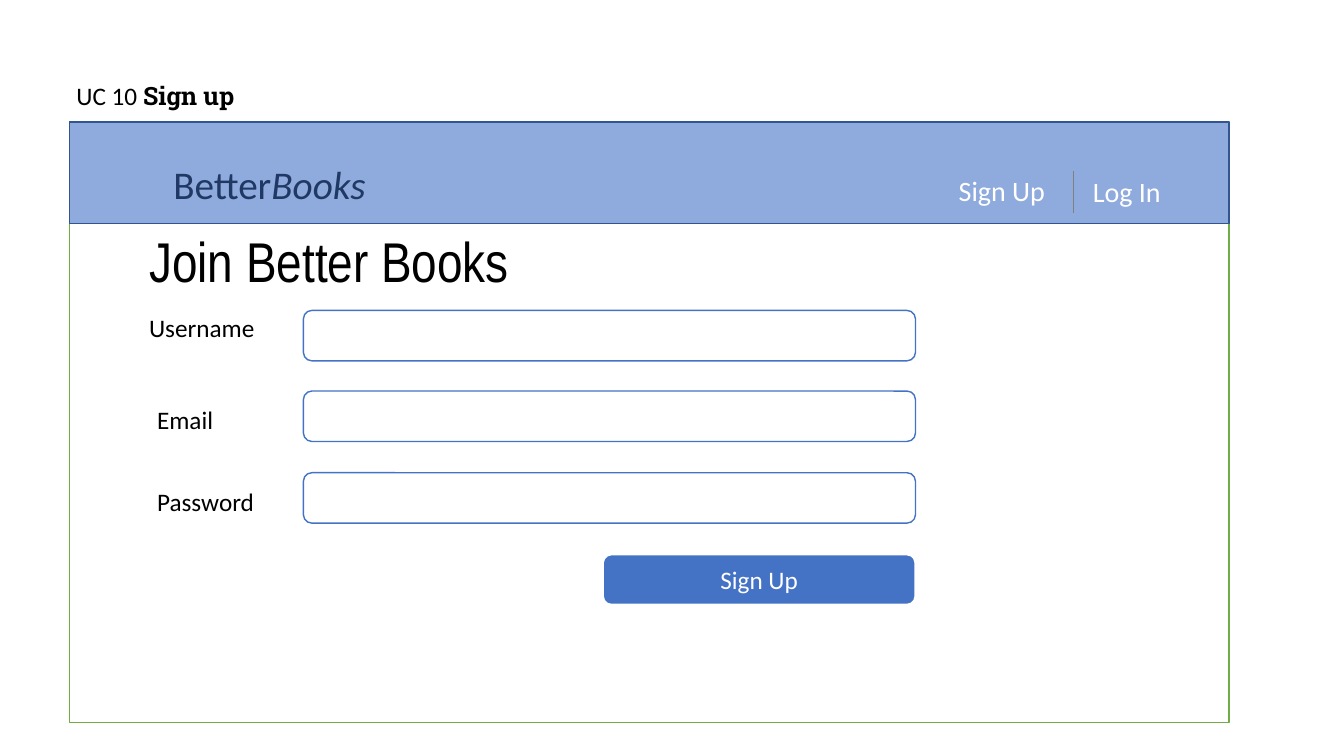
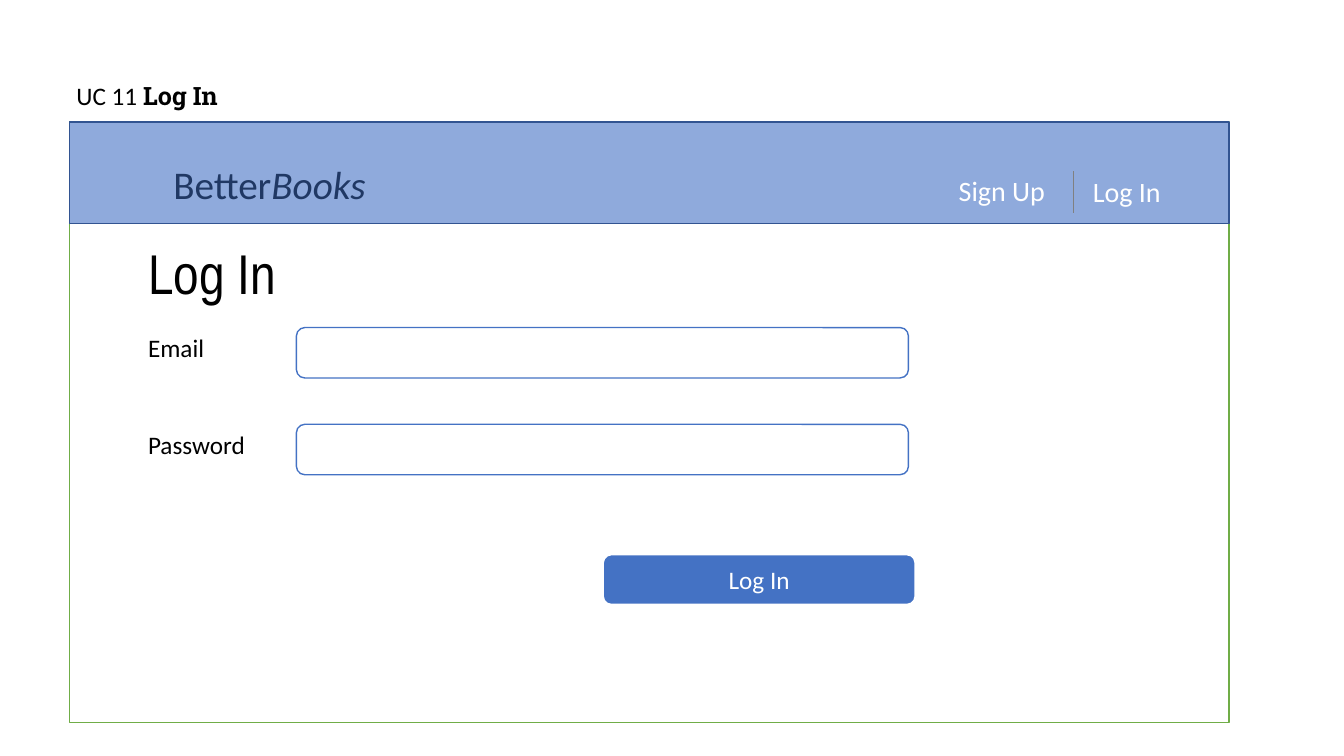
from lxml import etree
from pptx import Presentation
from pptx.dml.color import RGBColor
from pptx.enum.shapes import MSO_CONNECTOR, MSO_SHAPE
from pptx.enum.text import MSO_ANCHOR, MSO_AUTO_SIZE, PP_ALIGN
from pptx.oxml import parse_xml
from pptx.oxml.ns import qn
from pptx.util import Inches, Pt

RECTANGLE, ROUNDED = MSO_SHAPE.RECTANGLE, MSO_SHAPE.ROUNDED_RECTANGLE
STRAIGHT = MSO_CONNECTOR.STRAIGHT
TOP, MIDDLE = MSO_ANCHOR.TOP, MSO_ANCHOR.MIDDLE
LEFT, CENTER = PP_ALIGN.LEFT, PP_ALIGN.CENTER
NO_AUTOFIT = MSO_AUTO_SIZE.NONE
TITLE_ONLY = 5

WHITE, BLACK, NAVY, GREY = "FFFFFF", "000000", "203864", "808080"
BAND, BAND_EDGE, FRAME_EDGE, ACCENT = "8FAADC", "325491", "70AD47", "4472C4"
BODY_FONT, HEADING_FONT, USE_CASE_FONT = "Calibri", "Arial Narrow", "Roboto Slab"

FRAME_LEFT, FRAME_TOP, FRAME_WIDTH = 0.69, 1.21, 11.5
FIELD_WIDTH, FIELD_HEIGHT = 6.07, 0.5
TEXT_SHADOW = (
    '<a:effectLst xmlns:a="http://schemas.openxmlformats.org/drawingml/2006/main">'
    '<a:outerShdw blurRad="38100" dist="38100" dir="2700000" algn="tl">'
    '<a:srgbClr val="000000"><a:alpha val="43000"/></a:srgbClr>'
    "</a:outerShdw></a:effectLst>"
)


def color(value):
    return RGBColor.from_string(value)


class Mockup:
    def __init__(self):
        self.presentation = Presentation()
        self.presentation.slide_width = Inches(13.33)
        self.presentation.slide_height = Inches(7.5)
        self.slide = None

    def set_text(self, shape, texts, size, ink, font=BODY_FONT, align=LEFT, anchor=TOP):
        frame = shape.text_frame
        frame.auto_size = NO_AUTOFIT
        frame.vertical_anchor = anchor
        paragraph = frame.paragraphs[0]
        paragraph.alignment = align
        for text in texts:
            run = paragraph.add_run()
            run.text = text
            run.font.size = Pt(size)
            run.font.name = font
            run.font.color.rgb = color(ink)
        return paragraph.runs

    def box(self, kind, left, top, width, height, fill=None, line=None, weight=1):
        shape = self.slide.shapes.add_shape(
            kind, Inches(left), Inches(top), Inches(width), Inches(height))
        shape.shadow.inherit = False
        if fill:
            shape.fill.solid()
            shape.fill.fore_color.rgb = color(fill)
        else:
            shape.fill.background()
        if line:
            shape.line.color.rgb = color(line)
            shape.line.width = Pt(weight)
        else:
            shape.line.fill.background()
        return shape

    def text(self, left, top, width, height, texts, size=18, ink=BLACK, wrap=True):
        shape = self.slide.shapes.add_textbox(
            Inches(left), Inches(top), Inches(width), Inches(height))
        shape.text_frame.word_wrap = wrap
        return self.set_text(shape, texts, size, ink)

    def menu_item(self, left, top, caption):
        run = self.text(left, top, 1.16, 0.44, [caption], 20, WHITE)[0]
        fill = run.font._element.find(qn("a:solidFill"))
        fill.addnext(parse_xml(TEXT_SHADOW))

    def divider(self, left, top, bottom):
        line = self.slide.shapes.add_connector(
            STRAIGHT, Inches(left), Inches(top), Inches(left), Inches(bottom))
        line.line.color.rgb = color(GREY)
        line.line.width = Pt(1)
        etree.SubElement(line._element.spPr, qn("a:effectLst"))

    def page(self, use_case, name):
        layout = self.presentation.slide_layouts[TITLE_ONLY]
        self.slide = self.presentation.slides.add_slide(layout)
        self.box(RECTANGLE, FRAME_LEFT, FRAME_TOP, FRAME_WIDTH, 5.96, WHITE, FRAME_EDGE)
        self.box(RECTANGLE, FRAME_LEFT, FRAME_TOP, FRAME_WIDTH, 1.01, BAND, BAND_EDGE)
        banner = self.box(RECTANGLE, 1.62, 1.68, 2.31, 0.28, BAND)
        runs = self.set_text(banner, ["Better", "Books"], 28, NAVY, anchor=MIDDLE)
        runs[1].font.italic = True
        self.menu_item(9.41, 1.67, "Sign Up")
        self.menu_item(10.74, 1.68, "Log In")
        self.divider(10.65, 1.7, 2.11)
        runs = self.text(0.66, 0.75, 2.18, 0.4, [use_case + " ", name])
        runs[1].font.name = USE_CASE_FONT
        runs[1].font.bold = True

    def heading(self, left, top, width, caption):
        title = self.slide.shapes.title
        title.left, title.top = Inches(left), Inches(top)
        title.width, title.height = Inches(width), Inches(0.77)
        self.set_text(title, [caption], 40, BLACK, HEADING_FONT)
        self.slide.shapes._spTree.append(title._element)

    def field(self, caption, label_left, label_top, label_width, left, top):
        self.text(label_left, label_top, label_width, 0.4, [caption], wrap=False)
        self.box(ROUNDED, left, top, FIELD_WIDTH, FIELD_HEIGHT, line=ACCENT)

    def button(self, caption):
        shape = self.box(ROUNDED, 5.98, 5.5, 3.1, 0.5, ACCENT, WHITE, 1.5)
        self.set_text(shape, [caption], 18, WHITE, align=CENTER, anchor=MIDDLE)


PAGES = [
    {
        "use_case": ("UC 10", "Sign up"),
        "heading": (1.38, 2.2, 4.03, "Join Better Books"),
        "fields": [
            ("Username", 1.38, 3.05, 1.26, 3.01, 3.08),
            ("Email", 1.46, 3.96, 0.76, 3.01, 3.88),
            ("Password", 1.46, 4.78, 1.17, 3.01, 4.69),
        ],
        "button": "Sign Up",
    },
    {
        "use_case": ("UC 11", "Log In"),
        "heading": (1.37, 2.32, 1.62, "Log In"),
        "fields": [
            ("Email", 1.37, 3.25, 0.76, 2.94, 3.25),
            ("Password", 1.37, 4.21, 1.17, 2.94, 4.21),
        ],
        "button": "Log In",
    },
]

mockup = Mockup()
for page in PAGES:
    mockup.page(*page["use_case"])
    for field in page["fields"]:
        mockup.field(*field)
    mockup.button(page["button"])
    mockup.heading(*page["heading"])
mockup.presentation.save("out.pptx")
